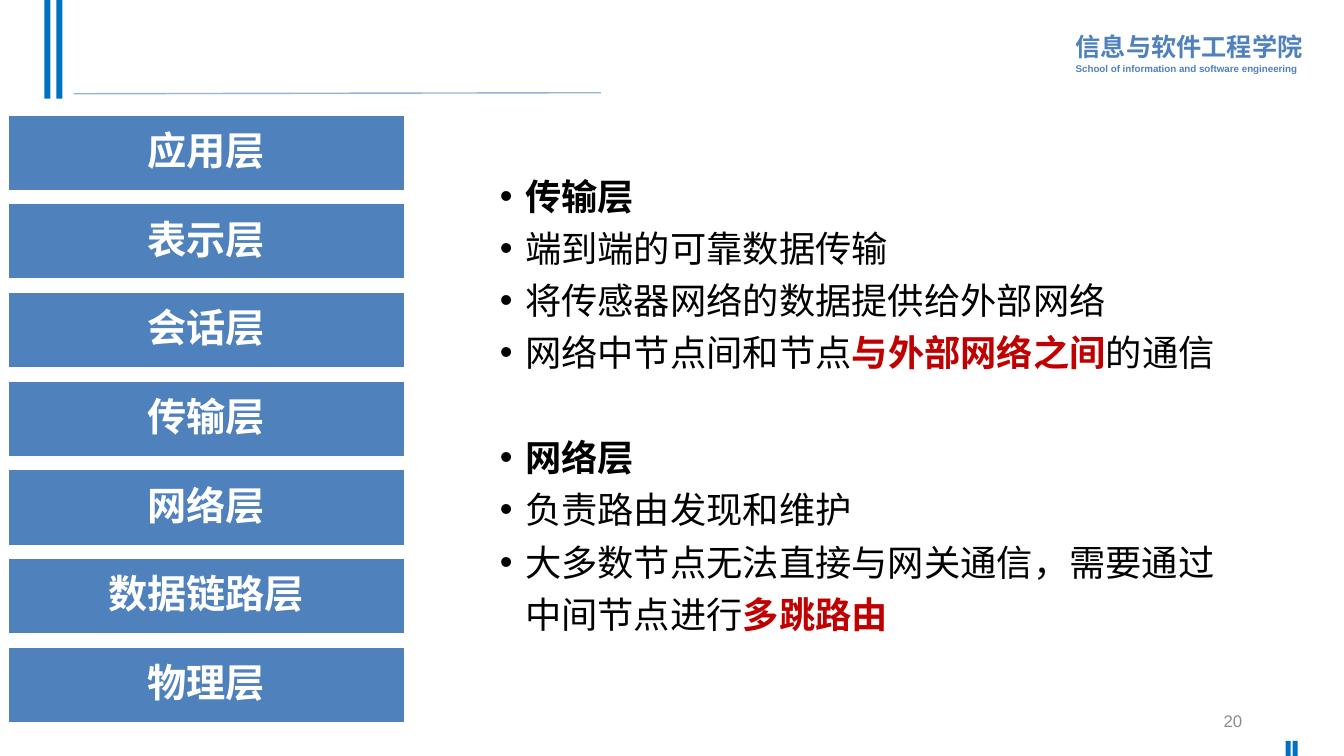
from dataclasses import dataclass

from lxml import etree
from pptx import Presentation
from pptx.dml.color import RGBColor
from pptx.enum.shapes import MSO_CONNECTOR, MSO_SHAPE
from pptx.enum.text import MSO_ANCHOR, PP_ALIGN
from pptx.oxml.ns import qn
from pptx.util import Inches, Pt

RECT = MSO_SHAPE.RECTANGLE
STRAIGHT = MSO_CONNECTOR.STRAIGHT
TOP, MIDDLE = MSO_ANCHOR.TOP, MSO_ANCHOR.MIDDLE
LEFT, CENTER, RIGHT = PP_ALIGN.LEFT, PP_ALIGN.CENTER, PP_ALIGN.RIGHT

LATIN, CJK = "Arial", "Noto Sans CJK SC"
BLUE, STRIPE, RULE = "4F81BD", "0070C0", "95B3D7"
WHITE, BLACK, RED, GRAY = "FFFFFF", "000000", "C00000", "8C8C8C"

LAYERS = ["应用层", "表示层", "会话层", "传输层", "网络层", "数据链路层", "物理层"]
LAYER_TOP, LAYER_STEP = 1.14, 0.88


@dataclass
class Box:
    x: float
    y: float
    w: float
    h: float

    def lengths(self):
        return [Inches(v) for v in (self.x, self.y, self.w, self.h)]


@dataclass
class Run:
    text: str
    bold: bool = False
    color: str = BLACK


@dataclass
class Bullet:
    runs: list[Run]
    before: float = 0


STRIPES = [
    Box(0.44, 0, 0.06, 0.98),
    Box(0.56, 0, 0.06, 0.98),
    Box(12.75, 7.35, 0.05, 0.15),
    Box(12.82, 7.35, 0.05, 0.15),
]

BULLETS = [
    Bullet([Run("传输层", True)]),
    Bullet([Run("端到端的可靠数据传输")]),
    Bullet([Run("将传感器网络的数据提供给外部网络")]),
    Bullet([Run("网络中节点间和节点"), Run("与外部网络之间", True, RED), Run("的通信")]),
    Bullet([Run("网络层", True)], before=37.5),
    Bullet([Run("负责路由发现和维护")]),
    Bullet([Run("大多数节点无法直接与网关通信，需要通过中间节点进行"),
            Run("多跳路由", True, RED)]),
]


def rgb(color: str) -> RGBColor:
    return RGBColor.from_string(color)


def add_run(p, text: str, *, size: float, color: str, bold: bool = False,
            font: str = LATIN) -> None:
    r = p.add_run()
    r.text = text
    r.font.size, r.font.bold, r.font.name = Pt(size), bold, font
    r.font.color.rgb = rgb(color)
    ea = etree.SubElement(r._r.get_or_add_rPr(), qn("a:ea"))
    ea.set("typeface", CJK)


def set_frame(tf, *, anchor=TOP, inset: float = 0.1, top: float = 0.05,
              bottom: float = 0.05) -> None:
    tf.word_wrap = True
    tf.vertical_anchor = anchor
    tf.margin_left = tf.margin_right = Inches(inset)
    tf.margin_top, tf.margin_bottom = Inches(top), Inches(bottom)


def add_text(s, box: Box, **frame):
    tf = s.shapes.add_textbox(*box.lengths()).text_frame
    set_frame(tf, **frame)
    return tf


def next_paragraph(tf, first: bool, *, align=LEFT, spacing: float = 1.0):
    p = tf.paragraphs[0] if first else tf.add_paragraph()
    p.alignment, p.line_spacing = align, spacing
    return p


def add_rect(s, box: Box, fill: str, line: str | None = None):
    sp = s.shapes.add_shape(RECT, *box.lengths())
    sp.shadow.inherit = False
    sp.fill.solid()
    sp.fill.fore_color.rgb = rgb(fill)
    if line:
        sp.line.color.rgb = rgb(line)
        sp.line.width = Pt(1)
    else:
        sp.line.fill.background()
    return sp


def set_bullet(p) -> None:
    pPr = p._p.get_or_add_pPr()
    pPr.set("marL", str(Inches(0.25)))
    pPr.set("indent", str(-Inches(0.25)))
    etree.SubElement(pPr, qn("a:buFont")).set("typeface", LATIN)
    etree.SubElement(pPr, qn("a:buChar")).set("char", "•")


def add_header(s) -> None:
    tf = add_text(s, Box(10.57, 0.23, 2.45, 0.56))
    lines = [("信息与软件工程学院", 18),
             ("School of information and software engineering", 7)]
    for i, (text, size) in enumerate(lines):
        p = next_paragraph(tf, i == 0, spacing=1.1)
        add_run(p, text, size=size, color=BLUE, bold=True)

    for box in STRIPES:
        add_rect(s, box, STRIPE)

    rule = s.shapes.add_connector(STRAIGHT, Inches(0.73), Inches(0.93),
                                  Inches(5.96), Inches(0.92))
    rule.line.color.rgb = rgb(RULE)
    rule.line.width = Pt(1)
    etree.SubElement(rule._element.spPr, qn("a:effectLst"))


def add_body(s) -> None:
    tf = add_text(s, Box(4.86, 1.16, 7.56, 5.6), top=0.48)
    for i, bullet in enumerate(BULLETS):
        p = next_paragraph(tf, i == 0, spacing=1.2)
        p.space_before = Pt(bullet.before)
        set_bullet(p)
        for run in bullet.runs:
            add_run(p, run.text, size=25.9, color=run.color, bold=run.bold)


def add_layers(s) -> None:
    for i, name in enumerate(LAYERS):
        box = Box(0.08, LAYER_TOP + i * LAYER_STEP, 3.93, 0.75)
        tf = add_rect(s, box, BLUE, WHITE).text_frame
        set_frame(tf, anchor=MIDDLE, inset=0.08, top=0.08, bottom=0.08)
        p = next_paragraph(tf, True, align=CENTER, spacing=0.9)
        add_run(p, name, size=28, color=WHITE, bold=True, font=CJK)


def add_page_number(s) -> None:
    tf = add_text(s, Box(9.42, 6.95, 3, 0.4), anchor=MIDDLE)
    p = next_paragraph(tf, True, align=RIGHT)
    add_run(p, "20", size=12, color=GRAY)


def main() -> None:
    prs = Presentation()
    prs.slide_width, prs.slide_height = Inches(13.33), Inches(7.5)
    s = prs.slides.add_slide(prs.slide_layouts[6])
    add_header(s)
    add_body(s)
    add_page_number(s)
    add_layers(s)
    prs.save("out.pptx")


if __name__ == "__main__":
    main()
